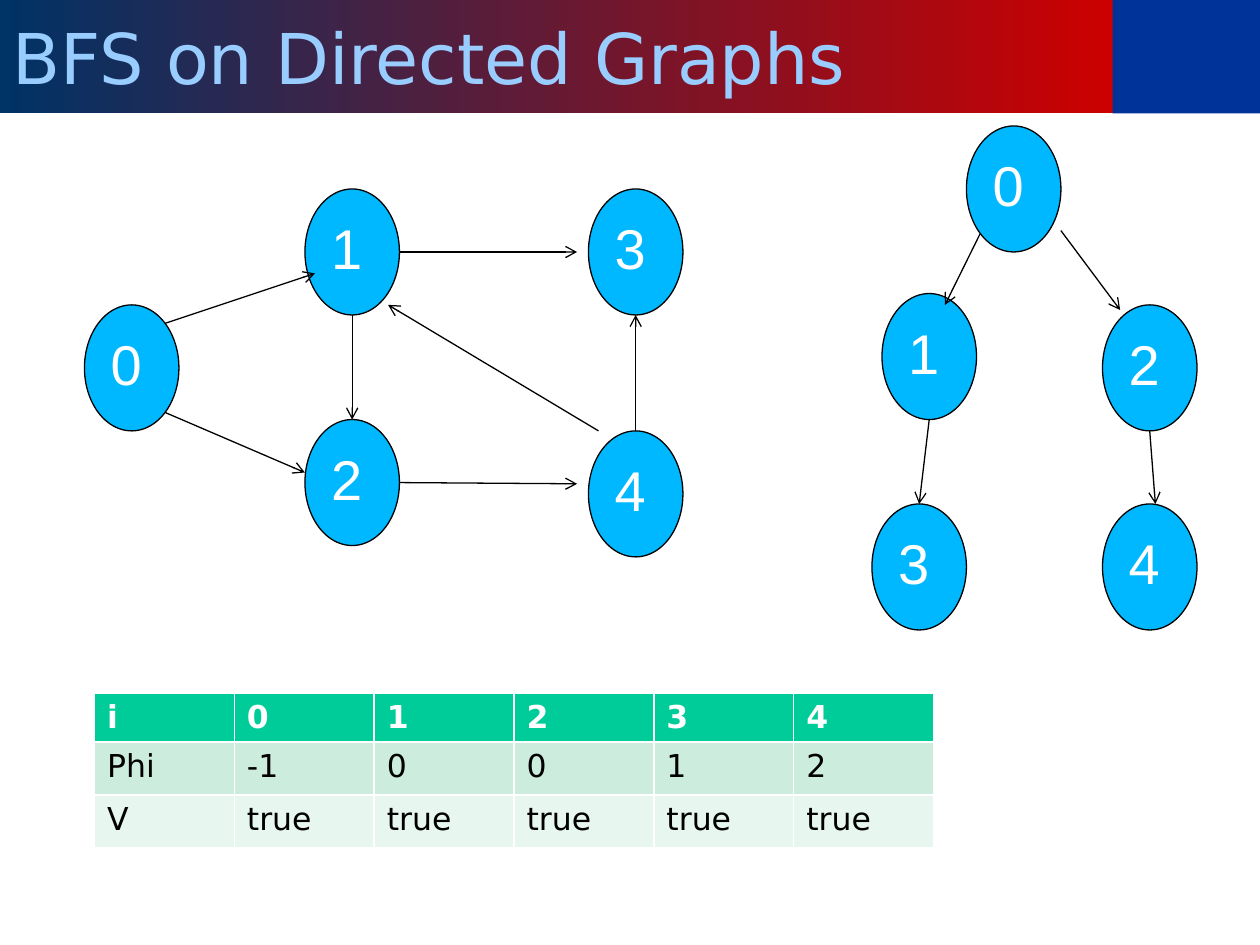
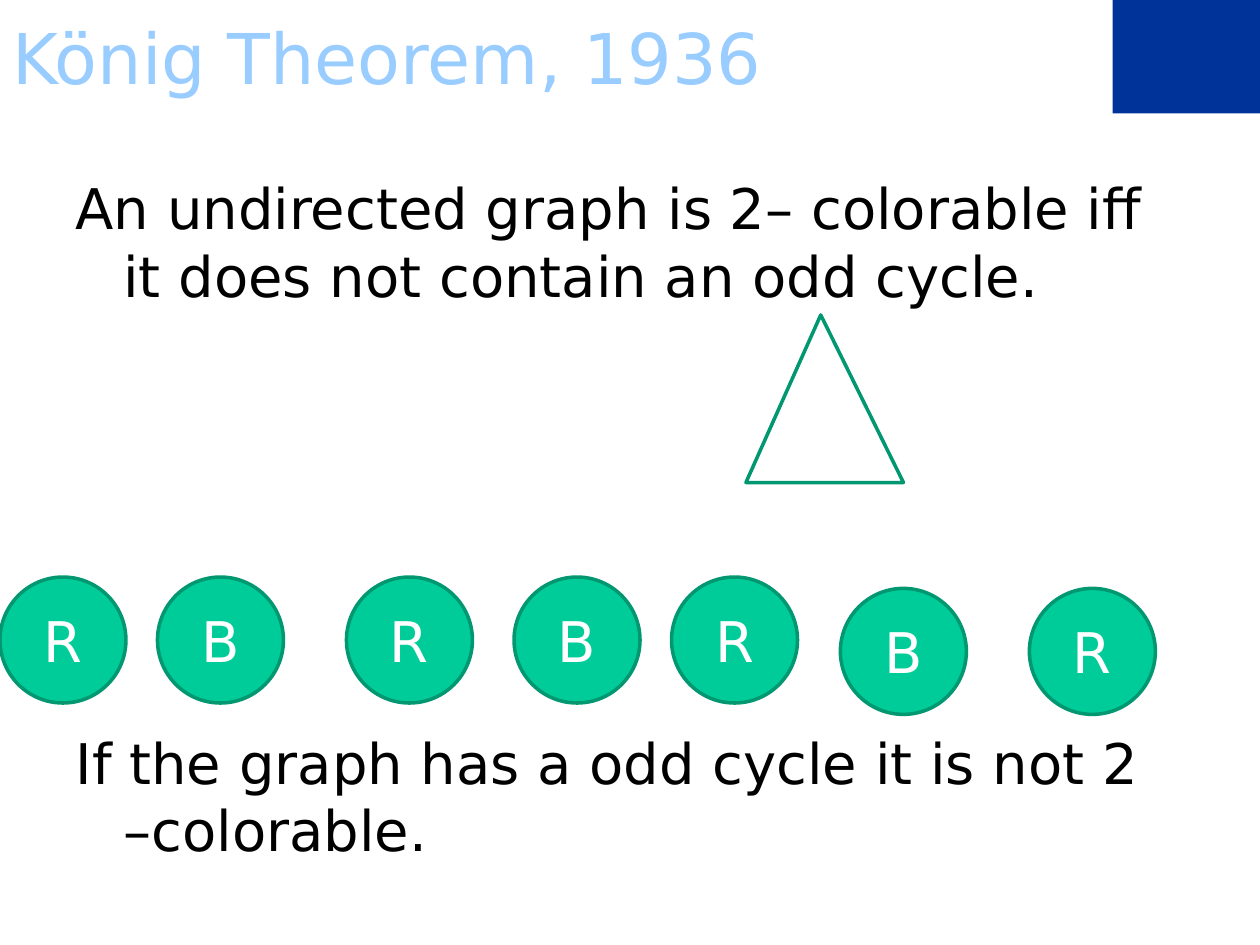
from dataclasses import dataclass
from itertools import cycle
from math import cos, radians, sin
from typing import NamedTuple

from lxml.etree import SubElement
from pptx import Presentation
from pptx.dml.color import RGBColor
from pptx.enum.shapes import MSO_CONNECTOR, MSO_SHAPE
from pptx.enum.text import MSO_ANCHOR, MSO_AUTO_SIZE, PP_ALIGN
from pptx.oxml.ns import qn
from pptx.util import Inches, Pt

WHITE = RGBColor(0xFF, 0xFF, 0xFF)
BLACK = RGBColor(0x00, 0x00, 0x00)
CORNER_BLUE = RGBColor(0x00, 0x33, 0x99)
TITLE_BLUE = RGBColor(0x99, 0xCC, 0xFF)
BAND_NAVY = RGBColor(0x00, 0x33, 0x66)
BAND_RED = RGBColor(0xCC, 0x00, 0x00)
NODE_BLUE = RGBColor(0x00, 0xB8, 0xFF)
GREEN = RGBColor(0x00, 0xCC, 0x99)
DARK_GREEN = RGBColor(0x00, 0x97, 0x71)
ROW_FILLS = [GREEN, RGBColor(0xCC, 0xEC, 0xDE), RGBColor(0xE7, 0xF6, 0xEF)]

BODY_FONT = "DejaVu Sans"
NODE_FONT = "Arial"
TITLE_WIDTH = 8.83
TITLE_HEIGHT = 0.9
NODE_WIDTH = 0.75
NODE_HEIGHT = 1.0

# Connection sites of an ellipse, counted counter-clockwise from the top
TOP, TOP_LEFT, LEFT, BOTTOM_LEFT, BOTTOM, BOTTOM_RIGHT, RIGHT, TOP_RIGHT = range(8)


class Point(NamedTuple):
    x: float
    y: float


class Site(NamedTuple):
    node: int
    index: int


@dataclass(frozen=True)
class Edge:
    start: Point | Site
    end: Point | Site


@dataclass(frozen=True)
class Graph:
    nodes: list[Point]  # top left corner of each node, in order of its number
    edges: list[Edge]


DIRECTED_GRAPH = Graph(
    nodes=[Point(0.67, 2.42), Point(2.42, 1.5), Point(2.42, 3.33),
           Point(4.67, 1.5), Point(4.67, 3.42)],
    edges=[
        Edge(Site(0, TOP_RIGHT), Point(2.5, 2.17)),
        Edge(Site(0, BOTTOM_RIGHT), Point(2.42, 3.75)),
        Edge(Site(1, BOTTOM), Site(2, TOP)),
        Edge(Site(1, RIGHT), Point(4.58, 2)),
        Edge(Site(2, RIGHT), Point(4.58, 3.84)),
        Edge(Point(4.75, 3.42), Point(3.08, 2.42)),
        Edge(Site(4, TOP), Site(3, BOTTOM)),
    ],
)
BFS_TREE = Graph(
    nodes=[Point(7.67, 1), Point(7, 2.33), Point(8.75, 2.42),
           Point(6.92, 4), Point(8.75, 4)],
    edges=[
        Edge(Site(0, BOTTOM_LEFT), Point(7.5, 2.42)),
        Edge(Site(1, BOTTOM), Site(3, TOP)),
        Edge(Point(8.42, 1.83), Point(8.89, 2.46)),
        Edge(Site(2, BOTTOM), Point(9.17, 4)),
    ],
)
BFS_ROWS = [
    ["i", "0", "1", "2", "3", "4"],
    ["Phi", "-1", "0", "0", "1", "2"],
    ["V"] + ["true"] * 5,
]
ROW_HEIGHTS = [0.38, 0.42, 0.42]
COLUMN_WIDTH = 1.11

CIRCLES = [Point(x, 4.58) for x in (0, 1.25, 2.75, 4.08, 5.33)]
CIRCLES += [Point(x, 4.67) for x in (6.67, 8.17)]


def write(para, text: str, *, size: float = 32, font: str = BODY_FONT,
          color: RGBColor = BLACK, bold: bool = False, align=PP_ALIGN.LEFT) -> None:
    para.alignment = align
    span = para.add_run()
    span.text = text
    span.font.size = Pt(size)
    span.font.name = font
    span.font.bold = bold
    span.font.color.rgb = color


def place(shape, left: float, top: float, width: float, height: float) -> None:
    shape.left, shape.top = Inches(left), Inches(top)
    shape.width, shape.height = Inches(width), Inches(height)


def draw_shape(page, kind, corner: Point, width: float, height: float,
               fill: RGBColor, line: RGBColor | None = None, weight: float = 2):
    shape = page.shapes.add_shape(kind, Inches(corner.x), Inches(corner.y),
                                  Inches(width), Inches(height))
    shape.shadow.inherit = False
    shape.fill.solid()
    shape.fill.fore_color.rgb = fill
    if line is None:
        shape.line.fill.background()
    else:
        shape.line.color.rgb = line
        shape.line.width = Pt(weight)
    return shape


def add_page(deck, layout: int, title: str):
    """Add a slide with the shared corner block and title style."""
    page = deck.slides.add_slide(deck.slide_layouts[layout])
    draw_shape(page, MSO_SHAPE.RECTANGLE, Point(TITLE_WIDTH, 0),
               10 - TITLE_WIDTH, TITLE_HEIGHT, CORNER_BLUE)
    box = page.shapes.title
    place(box, 0, 0, TITLE_WIDTH, TITLE_HEIGHT)
    box.text_frame.auto_size = MSO_AUTO_SIZE.NONE
    box.text_frame.vertical_anchor = MSO_ANCHOR.MIDDLE
    write(box.text_frame.paragraphs[0], title, size=40, color=TITLE_BLUE)
    return page


def fill_title_band(box) -> None:
    box.fill.gradient()
    box.fill.gradient_angle = 0
    for stop, color in zip(box.fill.gradient_stops, (BAND_NAVY, BAND_RED)):
        stop.color.rgb = color


def locate(end: Point | Site, nodes: list[Point]) -> Point:
    """Return the position of an edge's end, on the rim of its node if it has one."""
    if isinstance(end, Point):
        return end
    angle = radians(90 + 45 * end.index)
    corner = nodes[end.node]
    return Point(corner.x + NODE_WIDTH / 2 * (1 + cos(angle)),
                 corner.y + NODE_HEIGHT / 2 * (1 - sin(angle)))


def draw_edge(page, edge: Edge, nodes: list[Point], ovals: list) -> None:
    start, end = locate(edge.start, nodes), locate(edge.end, nodes)
    arrow = page.shapes.add_connector(MSO_CONNECTOR.STRAIGHT, Inches(start.x),
                                      Inches(start.y), Inches(end.x), Inches(end.y))
    arrow.line.color.rgb = BLACK
    arrow.line.width = Pt(0.75)
    properties = arrow._element.spPr
    SubElement(properties.find(qn("a:ln")), qn("a:tailEnd"), type="arrow")
    SubElement(properties, qn("a:effectLst"))
    # begin_connect knows four sites only; an ellipse has eight
    joints = arrow._element.nvCxnSpPr.cNvCxnSpPr
    for tag, site in (("a:stCxn", edge.start), ("a:endCxn", edge.end)):
        if isinstance(site, Site):
            SubElement(joints, qn(tag), id=str(ovals[site.node].shape_id),
                       idx=str(site.index))


def draw_graph(page, graph: Graph) -> None:
    ovals = []
    for number, corner in enumerate(graph.nodes):
        oval = draw_shape(page, MSO_SHAPE.OVAL, corner, NODE_WIDTH, NODE_HEIGHT,
                          NODE_BLUE, BLACK, 0.75)
        oval.text_frame.vertical_anchor = MSO_ANCHOR.TOP
        write(oval.text_frame.paragraphs[0], str(number), font=NODE_FONT, color=WHITE)
        ovals.append(oval)
    for edge in graph.edges:
        draw_edge(page, edge, graph.nodes, ovals)


def draw_bfs_table(page) -> None:
    columns = len(BFS_ROWS[0])
    table = page.shapes.add_table(
        len(BFS_ROWS), columns, Inches(0.75), Inches(5.5),
        Inches(COLUMN_WIDTH * columns), Inches(sum(ROW_HEIGHTS))).table
    for column in table.columns:
        column.width = Inches(COLUMN_WIDTH)
    for r, (texts, height, fill) in enumerate(zip(BFS_ROWS, ROW_HEIGHTS, ROW_FILLS)):
        table.rows[r].height = Inches(height)
        header = r == 0
        for c, text in enumerate(texts):
            cell = table.cell(r, c)
            cell.fill.solid()
            cell.fill.fore_color.rgb = fill
            write(cell.text_frame.paragraphs[0], text, size=18, bold=header,
                  color=WHITE if header else BLACK)


def write_statement(para, text: str, space_before: float) -> None:
    """Write an unbulleted paragraph with a hanging indent."""
    para.space_before = Pt(space_before)
    write(para, text)
    properties = para._p.get_or_add_pPr()
    properties.set("marL", str(Inches(0.38)))
    properties.set("indent", str(Inches(-0.38)))
    SubElement(properties, qn("a:buNone"))


def build_bfs_page(deck) -> None:
    page = add_page(deck, 5, "BFS on Directed Graphs")
    fill_title_band(page.shapes.title)
    draw_graph(page, DIRECTED_GRAPH)
    draw_bfs_table(page)
    draw_graph(page, BFS_TREE)


def build_theorem_page(deck) -> None:
    page = add_page(deck, 1, "König Theorem, 1936")
    body = page.placeholders[1]
    place(body, 0.5, 1.33, 9, 5.36)
    frame = body.text_frame
    frame.auto_size = MSO_AUTO_SIZE.NONE
    write_statement(
        frame.paragraphs[0],
        "An undirected graph is 2– colorable iff it does not contain an odd cycle.", 8)
    write_statement(frame.add_paragraph(),
                    "If the graph has a odd cycle it is not 2 –colorable.", 240)

    triangle = draw_shape(page, MSO_SHAPE.ISOSCELES_TRIANGLE, Point(5.92, 2.5),
                          1.25, 1.33, WHITE, DARK_GREEN)
    triangle.adjustments[0] = 0.475
    for corner, letter in zip(CIRCLES, cycle("RB")):
        circle = draw_shape(page, MSO_SHAPE.OVAL, corner, 1, 1, GREEN, DARK_GREEN)
        circle.text_frame.vertical_anchor = MSO_ANCHOR.MIDDLE
        write(circle.text_frame.paragraphs[0], letter, color=WHITE,
              align=PP_ALIGN.CENTER)


def main() -> None:
    deck = Presentation()
    deck.slide_width, deck.slide_height = Inches(10), Inches(7.5)
    build_bfs_page(deck)
    build_theorem_page(deck)
    deck.save("out.pptx")


if __name__ == "__main__":
    main()
